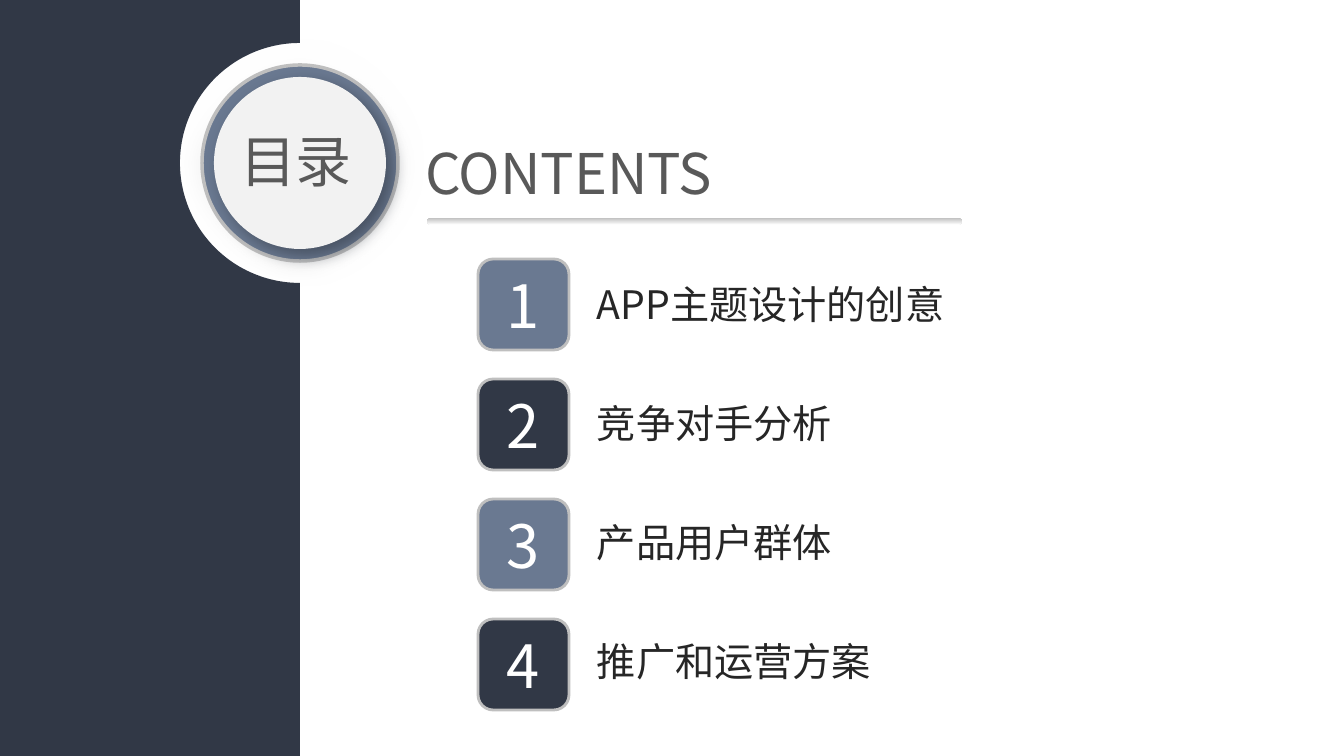
import math

from lxml import etree
from pptx import Presentation
from pptx import util as u
from pptx.dml.color import RGBColor
from pptx.enum import shapes, text
from pptx.oxml import ns

PX = u.Inches(1) / 100.8
FONT = "Noto Sans CJK SC"
NAVY = RGBColor(0x31, 0x38, 0x46)
SLATE = RGBColor(0x6A, 0x79, 0x91)
WHITE = RGBColor(0xFF, 0xFF, 0xFF)
PALE = RGBColor(0xF2, 0xF2, 0xF2)
SILVER = RGBColor(0xBF, 0xBF, 0xBF)
GREY = RGBColor(0x59, 0x59, 0x59)
INK = RGBColor(0x26, 0x26, 0x26)
TOPICS = ["APP主题设计的创意", "竞争对手分析", "产品用户群体", "推广和运营方案"]


def px(length):
    return u.Emu(round(length * PX))


def write(shape, words, size, color, align, anchor=text.MSO_ANCHOR.TOP):
    frame = shape.text_frame
    frame.text = words
    frame.word_wrap = True
    frame.vertical_anchor = anchor
    para = frame.paragraphs[0]
    para.alignment = align
    span = para.runs[0]
    span.font.size = u.Pt(size)
    span.font.name = FONT
    span.font.color.rgb = color
    east = etree.SubElement(span.font._element, ns.qn("a:ea"))
    east.set("typeface", FONT)


def add_label(page, box, words, size, color, align):
    label = page.shapes.add_textbox(*map(px, box))
    write(label, words, size, color, align)


def add_filled(page, kind, box, fill, line=None, width=2):
    """Preset shape; a list of two colours gives a downward gradient."""
    shape = page.shapes.add_shape(kind, *map(px, box))
    shape.shadow.inherit = False
    if isinstance(fill, list):
        shape.fill.gradient()
        shape.fill.gradient_angle = 270
        for stop, color, position in zip(shape.fill.gradient_stops, fill, (0, 1)):
            stop.color.rgb = color
            stop.position = position
    else:
        shape.fill.solid()
        shape.fill.fore_color.rgb = fill
    if line is None:
        shape.line.fill.background()
    else:
        shape.line.color.rgb = line
        shape.line.width = u.Pt(width)
    return shape


def add_effect(shape, tag, **settings):
    effects = shape._element.spPr.find(ns.qn("a:effectLst"))
    effect = etree.SubElement(effects, ns.qn(tag))
    for name, value in settings.items():
        effect.set(name, str(value))
    return effect


def add_panel(page, box, center_y, radius):
    """Dark side panel with a half-round notch in its right edge."""
    left, top, width, height = box
    right, bottom = left + width, top + height
    angles = [math.pi * step / 90 for step in range(91)]
    notch = [(right - radius * math.sin(a), center_y - radius * math.cos(a)) for a in angles]
    points = [(right, top), *notch, (right, bottom), (left, bottom)]
    builder = page.shapes.build_freeform(px(left), px(top))
    builder.add_line_segments([(px(x), px(y)) for x, y in points], close=True)
    panel = builder.convert_to_shape()
    panel.shadow.inherit = False
    panel.fill.solid()
    panel.fill.fore_color.rgb = NAVY
    panel.line.fill.background()


def add_medallion(page, center_x, center_y):
    """Soft halo, ring and disc around one centre, with the heading on top."""
    def circle(radius, fill, line=None, width=2):
        box = (center_x - radius, center_y - radius, 2 * radius, 2 * radius)
        return add_filled(page, shapes.MSO_SHAPE.OVAL, box, fill, line, width)

    halo = circle(131, [WHITE, SILVER])
    add_effect(halo, "a:softEdge", rad=u.Pt(25))
    circle(98, SLATE, SILVER, 2.5)
    disc = circle(86, PALE)
    shadow = add_effect(disc, "a:outerShdw", blurRad=u.Pt(12), dist=u.Pt(6),
                        dir=45 * 60000, algn="tl", rotWithShape=0)
    tint = etree.SubElement(shadow, ns.qn("a:srgbClr"), val="353C48")
    etree.SubElement(tint, ns.qn("a:alpha"), val="64000")
    add_label(page, (center_x - 97, center_y - 41, 186, 78), "目录", 40, GREY,
              text.PP_ALIGN.CENTER)


def add_heading(page, box):
    """Title with a thin fading rule below it."""
    left, top, width, height = box
    title = page.shapes.title
    title.left, title.top, title.width, title.height = map(px, box)
    write(title, "CONTENTS", 40, GREY, text.PP_ALIGN.LEFT)
    title.text_frame.paragraphs[0].line_spacing = 1.0
    rule = add_filled(page, shapes.MSO_SHAPE.ROUNDED_RECTANGLE,
                      (left + 12, top + height + 7, 535, 7), [SILVER, WHITE])
    rule.adjustments[0] = 0.5


def add_topics(page, left, top):
    """Numbered badges, each with its topic on the right."""
    for index, topic in enumerate(TOPICS):
        width = 376 if index < 2 else 326
        align = text.PP_ALIGN.LEFT if index else text.PP_ALIGN.JUSTIFY
        add_label(page, (left + 109, top + 16 + 119 * index, width, 57),
                  topic, 28, INK, align)
        badge = add_filled(page, shapes.MSO_SHAPE.ROUNDED_RECTANGLE,
                           (left, top + 120 * index, 91, 91),
                           NAVY if index % 2 else SLATE, SILVER)
        write(badge, str(index + 1), 42.6, WHITE, text.PP_ALIGN.CENTER,
              text.MSO_ANCHOR.MIDDLE)


def main():
    deck = Presentation()
    deck.slide_width, deck.slide_height = px(1344), px(756)
    page = deck.slides.add_slide(deck.slide_layouts[5])
    add_panel(page, (0, 0, 300, 756), 163, 120)
    add_medallion(page, 300, 163)
    add_heading(page, (415, 133, 468, 78))
    add_topics(page, 478, 259)
    deck.save("out.pptx")


if __name__ == "__main__":
    main()
